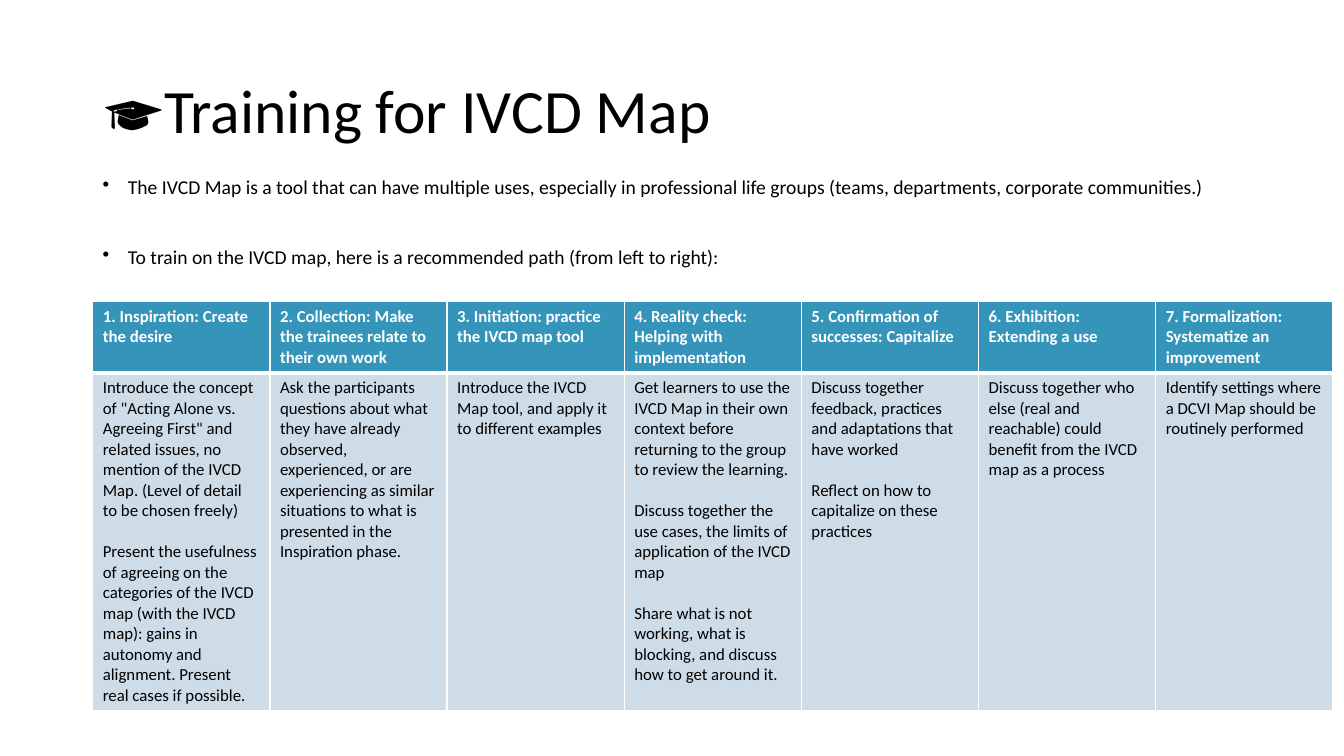
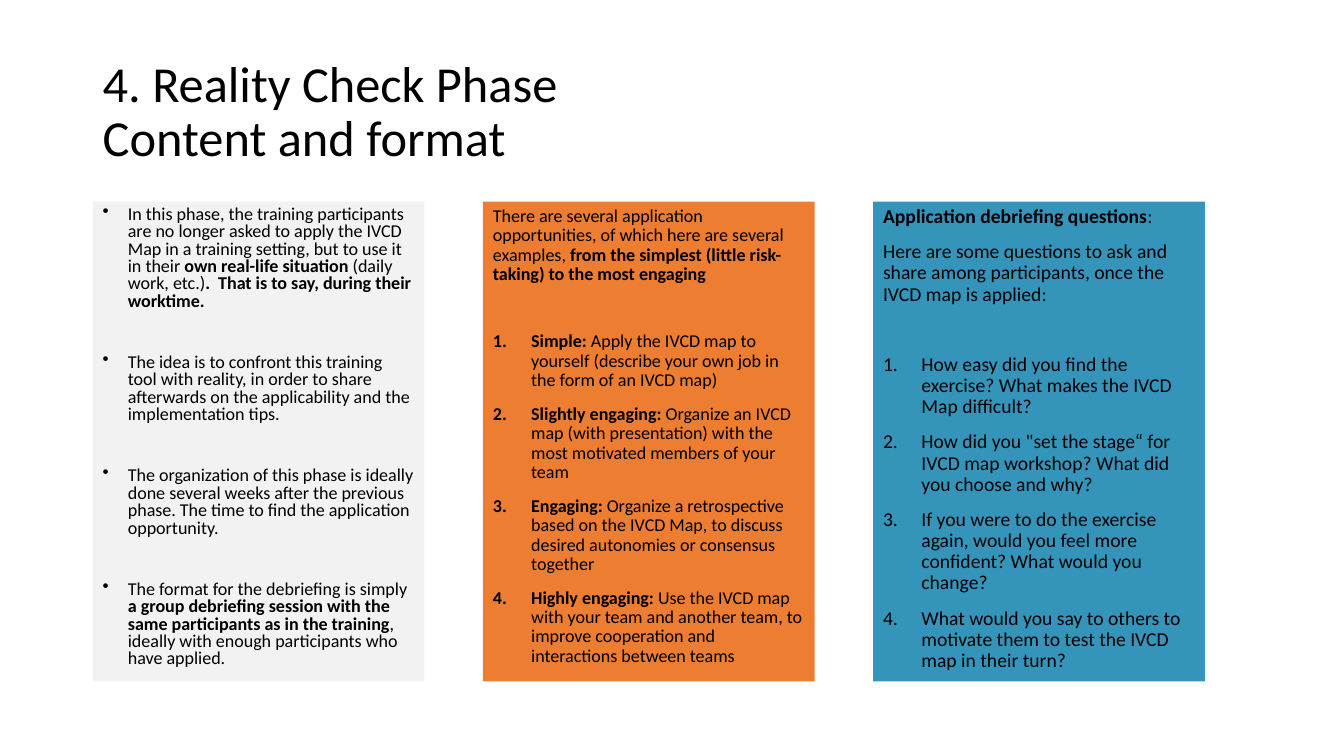
from lxml import etree
from pptx import Presentation
from pptx.dml.color import RGBColor
from pptx.enum.shapes import MSO_SHAPE as Shape
from pptx.enum.text import MSO_ANCHOR as Anchor, PP_ALIGN as Align
from pptx.oxml.ns import qn
from pptx.util import Inches, Pt

BLACK = RGBColor(0x00, 0x00, 0x00)
WHITE = RGBColor(0xFF, 0xFF, 0xFF)
GRAY = RGBColor(0xF2, 0xF2, 0xF2)
ORANGE = RGBColor(0xED, 0x7D, 0x31)
BLUE = RGBColor(0x34, 0x94, 0xBA)
PALE_BLUE = RGBColor(0xCE, 0xDC, 0xE7)
FONT = "Calibri"
LEFT = 0.92

# Marker: indent in inches, bullet element, its attributes
MARKERS = {
    "bullet": (0.25, "a:buChar", {"char": "•"}),
    "number": (0.38, "a:buAutoNum", {"type": "arabicPeriod"}),
}


def write(frame, paragraphs, size, line_spacing=0.9, color=BLACK):
    """Write (marker, space before, text) paragraphs; *stars* enclose bold."""
    frame.word_wrap = True
    for index, (marker, space_before, text) in enumerate(paragraphs):
        paragraph = frame.add_paragraph() if index else frame.paragraphs[0]
        if marker:
            indent, tag, attributes = MARKERS[marker]
            properties = paragraph._p.get_or_add_pPr()
            properties.set("marL", str(Inches(indent)))
            properties.set("indent", str(-Inches(indent)))
            etree.SubElement(properties, qn(tag), attributes)
        paragraph.alignment = Align.LEFT
        paragraph.line_spacing = line_spacing
        paragraph.space_before = Pt(space_before)
        paragraph.font.name = FONT
        paragraph.font.size = Pt(size)
        paragraph.font.color.rgb = color
        for position, part in enumerate(text.split("*")):
            if part:
                run = paragraph.add_run()
                run.text = part
                run.font.bold = position % 2 == 1


def add_titled_slide(title, size):
    slide = presentation.slides.add_slide(presentation.slide_layouts[6])
    box = slide.shapes.add_textbox(
        Inches(LEFT), Inches(0.4), Inches(11.5), Inches(1.45))
    frame = box.text_frame
    frame.word_wrap = True
    frame.vertical_anchor = Anchor.MIDDLE
    paragraph = frame.paragraphs[0]
    paragraph.text = title
    paragraph.line_spacing = 0.9
    paragraph.font.name = FONT
    paragraph.font.size = Pt(size)
    paragraph.font.color.rgb = BLACK
    return slide


presentation = Presentation()
presentation.slide_width = Inches(13.33)
presentation.slide_height = Inches(7.5)

# Slide 1: introduction
slide = add_titled_slide("🎓Training for IVCD Map", 44)
introduction = slide.shapes.add_textbox(
    Inches(LEFT), Inches(1.71), Inches(11.5), Inches(1.31))
write(introduction.text_frame, [
    ("bullet", 0, "The IVCD Map is a tool that can have multiple uses, especially in "
     "professional life groups (teams, departments, corporate communities.)"),
    ("bullet", 35, "To train on the IVCD map, here is a recommended path "
     "(from left to right):"),
], 14)

# Slide 1: training path, one column per phase
PHASES = [
    ("1. Inspiration: Create the desire", [
        "Introduce the concept of \"Acting Alone vs. Agreeing First\" and related "
        "issues, no mention of the IVCD Map. (Level of detail to be chosen freely)",
        "Present the usefulness of agreeing on the categories of the IVCD map (with "
        "the IVCD map): gains in autonomy and alignment. Present real cases if "
        "possible."]),
    ("2. Collection: Make the trainees relate to their own work", [
        "Ask the participants questions about what they have already observed, "
        "experienced, or are experiencing as similar situations to what is presented "
        "in the Inspiration phase."]),
    ("3. Initiation: practice the IVCD map tool", [
        "Introduce the IVCD Map tool, and apply it to different examples"]),
    ("4. Reality check: Helping with implementation", [
        "Get learners to use the IVCD Map in their own context before returning to "
        "the group to review the learning.",
        "Discuss together the use cases, the limits of application of the IVCD map",
        "Share what is not working, what is blocking, and discuss how to get around "
        "it."]),
    ("5. Confirmation of successes: Capitalize", [
        "Discuss together feedback, practices and adaptations that have worked",
        "Reflect on how to capitalize on these practices"]),
    ("6. Exhibition: Extending a use", [
        "Discuss together who else (real and reachable) could benefit from the IVCD "
        "map as a process"]),
    ("7. Formalization: Systematize an improvement", [
        "Identify settings where a DCVI Map should be routinely performed"]),
]
table = slide.shapes.add_table(
    2, len(PHASES), Inches(LEFT), Inches(2.99), Inches(12.3), Inches(4.06)).table
table.rows[0].height = Inches(0.71)
table.rows[1].height = Inches(3.35)
for column, (heading, steps) in enumerate(PHASES):
    header, body = table.cell(0, column), table.cell(1, column)
    write(header.text_frame, [(None, 0, f"*{heading}*")], 12, 1, WHITE)
    write(body.text_frame,
          [(None, 14.6 if index else 0, step) for index, step in enumerate(steps)],
          12, 1)
    for cell, fill, thick_edge in ((header, BLUE, "B"), (body, PALE_BLUE, "T")):
        properties = cell._tc.get_or_add_tcPr()
        for edge in "LRTB":
            width = Pt(3 if edge == thick_edge else 1)
            line = etree.SubElement(properties, qn(f"a:ln{edge}"), w=str(width))
            solid = etree.SubElement(line, qn("a:solidFill"))
            etree.SubElement(solid, qn("a:srgbClr"), val=str(WHITE))
        cell.fill.solid()
        cell.fill.fore_color.rgb = fill

# Slide 2: three panels (fill, text size, line spacing, paragraphs)
slide = add_titled_slide("4. Reality Check Phase\vContent and format", 36)
PANELS = [
    (GRAY, 12.9, 0.8, [
        ("bullet", 0, "In this phase, the training participants are no longer asked to "
         "apply the IVCD Map in a training setting, but to use it in their *own "
         "real-life situation *(daily work, etc.)*.  That is to say, during their "
         "worktime.*"),
        ("bullet", 31.5, "The idea is to confront this training tool with reality, in "
         "order to share afterwards on the applicability and the implementation tips."),
        ("bullet", 31.5, "The organization of this phase is ideally done several weeks "
         "after the previous phase. The time to find the application opportunity."),
        ("bullet", 31.5, "The format for the debriefing is simply *a group debriefing "
         "session with the same participants as in the training*, ideally with enough "
         "participants who have applied."),
    ]),
    (ORANGE, 12.9, 0.9, [
        (None, 0, "There are several application opportunities, of which here are "
         "several examples, *from the simplest (little risk-taking) to the most "
         "engaging*"),
        ("number", 34, "*Simple: *Apply the IVCD map to yourself (describe your own job "
         "in the form of an IVCD map)"),
        ("number", 10, "*Slightly engaging: *Organize an IVCD map (with presentation) "
         "with the most motivated members of your team"),
        ("number", 10, "*Engaging: *Organize a retrospective based on the IVCD Map, to "
         "discuss desired autonomies or consensus together"),
        ("number", 10, "*Highly engaging: *Use the IVCD map with your team and another "
         "team, to improve cooperation and interactions between teams"),
    ]),
    (BLUE, 14, 0.9, [
        (None, 0, "*Application debriefing questions*:"),
        (None, 10, "Here are some questions to ask and share among participants, once "
         "the IVCD map is applied:"),
        ("number", 35, "How easy did you find the exercise? What makes the IVCD Map "
         "difficult?"),
        ("number", 10, "How did you \"set the stage“ for IVCD map workshop? What did you "
         "choose and why?"),
        ("number", 10, "If you were to do the exercise again, would you feel more "
         "confident? What would you change?"),
        ("number", 10, "What would you say to others to motivate them to test the IVCD "
         "map in their turn?"),
    ]),
]
for index, (fill, size, line_spacing, paragraphs) in enumerate(PANELS):
    panel = slide.shapes.add_shape(
        Shape.RECTANGLE, Inches(LEFT + 3.87 * index), Inches(2),
        Inches(3.29), Inches(4.76))
    panel.shadow.inherit = False
    panel.fill.solid()
    panel.fill.fore_color.rgb = fill
    panel.line.fill.background()
    panel.text_frame.vertical_anchor = Anchor.TOP
    write(panel.text_frame, paragraphs, size, line_spacing)

presentation.save("out.pptx")
